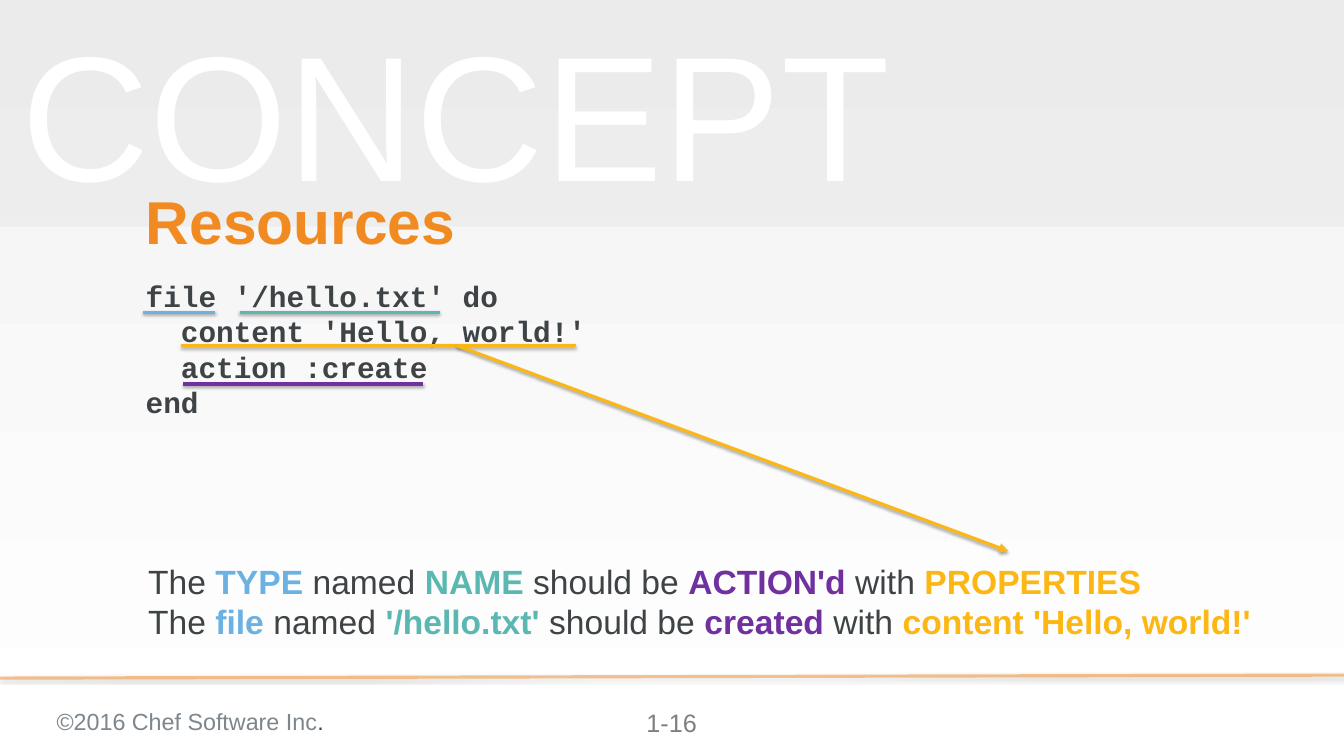
import pptx
import pptx.dml.color
import pptx.enum.shapes
import pptx.enum.text
import pptx.oxml
import pptx.oxml.ns
import pptx.util
from pptx.util import Inches

RGB = pptx.dml.color.RGBColor
ORANGE = RGB(0xF1, 0x8B, 0x21)
DARK = RGB(0x3E, 0x43, 0x46)
COPYRIGHT_GRAY = RGB(0x7D, 0x86, 0x8C)
NUMBER_GRAY = RGB(0x7F, 0x7F, 0x7F)
BAND_GRAY = RGB(0xD9, 0xD9, 0xD9)
PALE = RGB(0xF2, 0xF2, 0xF2)
WHITE = RGB(0xFF, 0xFF, 0xFF)
BLUE = RGB(0x6B, 0xB2, 0xE2)
TEAL = RGB(0x5A, 0xB7, 0xB2)
PURPLE = RGB(0x70, 0x30, 0xA0)
YELLOW = RGB(0xFD, 0xB7, 0x14)

A = pptx.oxml.ns.nsdecls("a")
ALIGN = pptx.enum.text.PP_ALIGN
ANCHOR = pptx.enum.text.MSO_ANCHOR
SHADOW = (f'<a:effectLst {A}><a:outerShdw blurRad="39370" dist="22860" dir="5400000" '
          'rotWithShape="0"><a:srgbClr val="000000"><a:alpha val="35000"/></a:srgbClr>'
          '</a:outerShdw></a:effectLst>')

prs = pptx.Presentation()
prs.slide_width, prs.slide_height = Inches(17.78), Inches(10)
s = prs.slides.add_slide(prs.slide_layouts[5])
fill = s.background.fill
fill.gradient()
fill.gradient_angle = 270
for stop, color in zip(fill.gradient_stops, (PALE, WHITE)):
    stop.color.rgb = color


def put_text(text, at, size, color=DARK, font="Arial", bold=False, inset=0.1,
             align=ALIGN.LEFT, anchor=ANCHOR.TOP, wrap=True, spacing=None, sp=None):
    """Fill sp or a new text box; text is a list of lines, each a string or
    a list of (text, colour, bold) runs."""
    box = [Inches(v) for v in at]
    if sp is None:
        sp = s.shapes.add_textbox(*box)
    else:
        sp.left, sp.top, sp.width, sp.height = box
    tf = sp.text_frame
    tf.auto_size = pptx.enum.text.MSO_AUTO_SIZE.NONE
    tf.word_wrap = wrap
    tf.vertical_anchor = anchor
    tf.margin_left = tf.margin_right = tf.margin_top = tf.margin_bottom = Inches(inset)
    for i, line in enumerate(text):
        p = tf.add_paragraph() if i else tf.paragraphs[0]
        p.alignment = align
        p.line_spacing = spacing
        for words, run_color, run_bold in [(line, color, bold)] if isinstance(line, str) else line:
            r = p.add_run()
            r.text = words
            r.font.name = font
            r.font.size = pptx.util.Pt(size)
            r.font.bold = run_bold
            r.font.color.rgb = run_color
    return sp


def add_line(x1, y1, x2, y2, color):
    line = s.shapes.add_connector(pptx.enum.shapes.MSO_CONNECTOR.STRAIGHT,
                                  Inches(x1), Inches(y1), Inches(x2), Inches(y2))
    line.line.color.rgb = color
    line.line.width = pptx.util.Pt(3)
    line.element.spPr.append(pptx.oxml.parse_xml(SHADOW))
    return line


# Footer
rule = add_line(17.78, 8.93, 0, 8.97, ORANGE)
put_text([[("©2016 Chef Software Inc", COPYRIGHT_GRAY, False), (".", DARK, False)]],
         (0.65, 9.25, 5.9, 0.52), 22.2)
put_text(["1-16"], (8.1, 9.25, 1.57, 0.57), 24, NUMBER_GRAY, align=ALIGN.CENTER)

# Header band and large word
band = s.shapes.add_shape(pptx.enum.shapes.MSO_SHAPE.RECTANGLE, 0, 0, prs.slide_width, Inches(3))
band.shadow.inherit = False
band.fill.solid()
band.fill.fore_color.rgb = BAND_GRAY
band.line.fill.background()
concept = put_text(["CONCEPT"], (0.15, 0.16, 12.64, 2.6), 169.3, PALE, inset=0.13,
                   anchor=ANCHOR.MIDDLE)
for sp, percent in ((rule, 50), (band, 25), (concept, 50)):
    clr = next(sp.element.iter(pptx.oxml.ns.qn("a:srgbClr")))
    clr.append(pptx.oxml.parse_xml(f'<a:alpha {A} val="{percent * 1000}"/>'))
concept.text_frame.paragraphs[0].runs[0].font.element.insert(0, pptx.oxml.parse_xml(
    f'<a:ln {A} w="18415"><a:solidFill><a:srgbClr val="{WHITE}"/></a:solidFill></a:ln>')) \
    if hasattr(concept.text_frame.paragraphs[0].runs[0].font, "element") else \
    next(concept.element.iter(pptx.oxml.ns.qn("a:rPr"))).insert(0, pptx.oxml.parse_xml(
        f'<a:ln {A} w="18415"><a:solidFill><a:srgbClr val="{WHITE}"/></a:solidFill></a:ln>'))

# Title, brought in front of the band
title = s.shapes.title
s.shapes.element.append(title.element)
put_text(["Resources"], (1.83, 2.51, 13.47, 0.93), 57.6, ORANGE, bold=True,
         anchor=ANCHOR.MIDDLE, spacing=0.9, sp=title)

# Code and its reading
put_text(["file '/hello.txt' do", "  content 'Hello, world!'", "  action :create", "end"],
         (1.83, 3.58, 13.47, 3.66), 28, font="Courier New", bold=True)
sentences = []
for kind, name, action, properties in (
        ("TYPE", "NAME", "ACTION'd", "PROPERTIES"),
        ("file", "'/hello.txt'", "created", "content 'Hello, world!'")):
    sentences.append([
        ("The ", DARK, False), (kind, BLUE, True),
        (" named ", DARK, False), (name, TEAL, True),
        (" should be ", DARK, False), (action, PURPLE, True),
        (" with ", DARK, False), (properties, YELLOW, True)])
put_text(sentences, (1.83, 7.29, 15, 1.33), 32, inset=0.13, wrap=False)

# Underlines in the code, and the arrow to the properties
for x1, x2, y, color in ((1.89, 2.85, 4.13, BLUE), (3.17, 5.82, 4.13, TEAL),
                         (2.4, 7.62, 4.57, YELLOW), (2.42, 5.6, 5.08, PURPLE)):
    add_line(x1, y, x2, y, color)
arrow = add_line(6.04, 4.57, 13.34, 7.29, YELLOW)
arrow.line.fill.solid()
arrow.line.color.rgb = YELLOW
arrow.element.spPr.find(pptx.oxml.ns.qn("a:ln")).append(
    pptx.oxml.parse_xml(f'<a:tailEnd {A} type="triangle"/>'))

prs.save("out.pptx")
